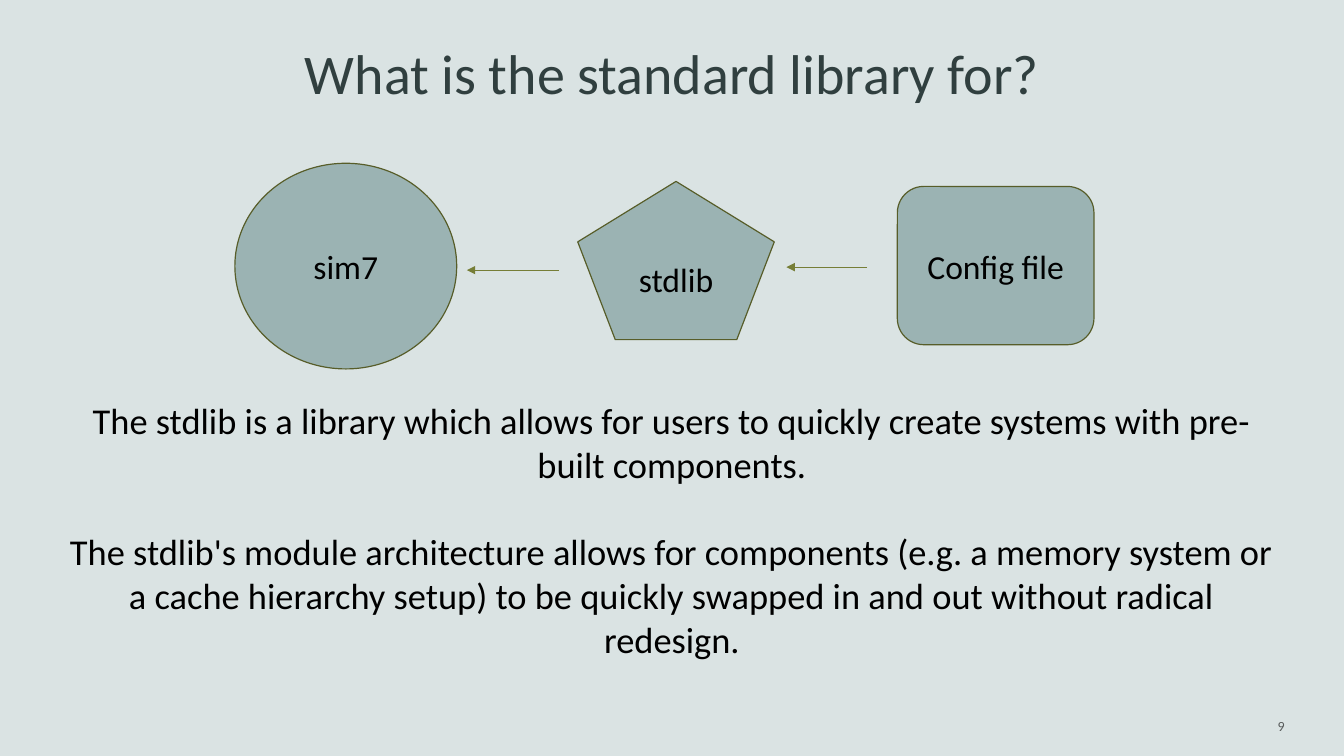
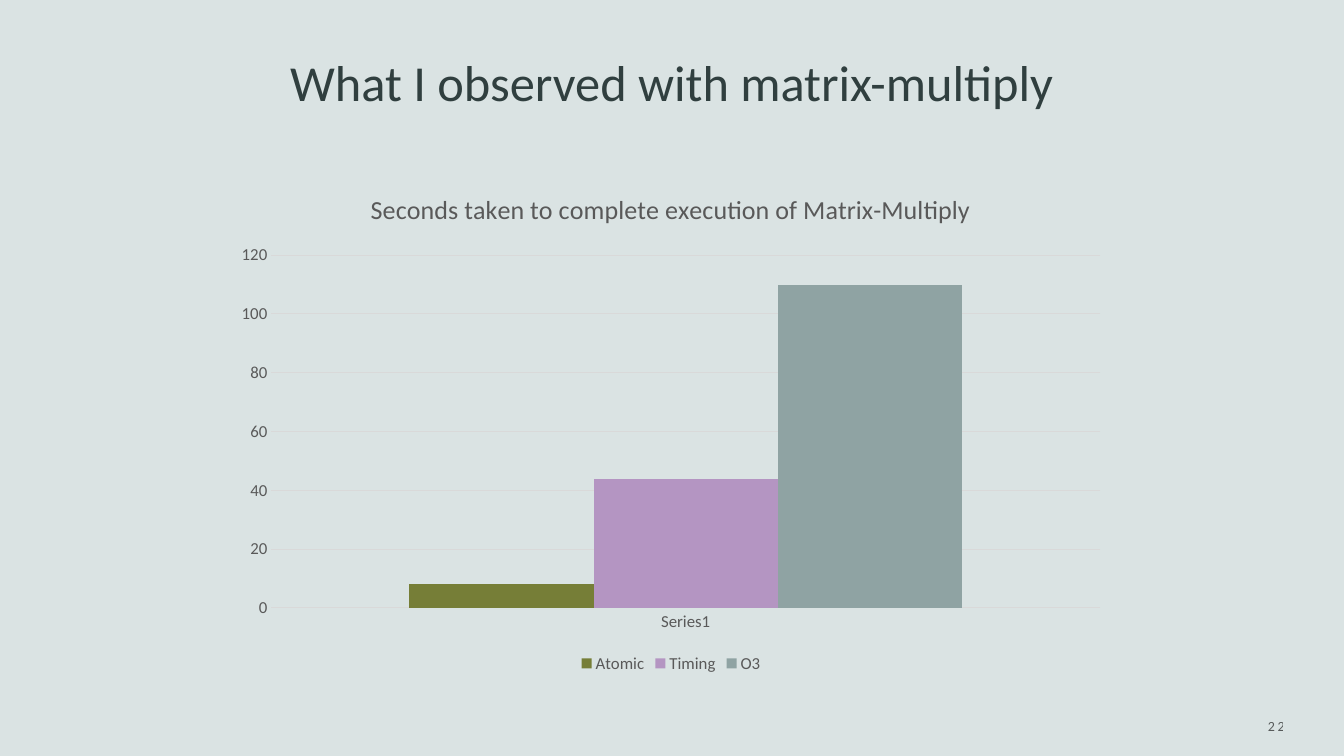
from dataclasses import dataclass

from lxml.etree import SubElement
from pptx import Presentation
from pptx.chart.data import CategoryChartData
from pptx.dml.color import RGBColor
from pptx.enum.chart import XL_CHART_TYPE as ChartType, XL_LEGEND_POSITION as LegendPos
from pptx.enum.chart import XL_TICK_MARK as TickMark
from pptx.enum.shapes import MSO_CONNECTOR as Connector, MSO_SHAPE as Shape
from pptx.enum.text import MSO_ANCHOR as Anchor, PP_ALIGN as Align
from pptx.oxml.ns import qn
from pptx.util import Emu, Pt

PX = 9144  # 100 px to the inch
FONT = "Calibri"
COLORS = {
    "background": "DAE3E3",
    "title": "303F3F",
    "text": "000000",
    "node": "9BB3B3",
    "outline": "575D29",
    "olive": "767E37",
    "lilac": "B495C2",
    "sage": "8FA3A3",
    "chart_text": "595959",
    "grid": "D9D9D9",
}


@dataclass(frozen=True)
class Box:
    x: int
    y: int
    w: int
    h: int

    def emu(self) -> tuple[Emu, ...]:
        return tuple(px(n) for n in (self.x, self.y, self.w, self.h))


@dataclass(frozen=True)
class Node:
    label: str
    shape: Shape
    box: Box


@dataclass(frozen=True)
class Arrow:
    x1: int
    y1: int
    x2: int
    y2: int


@dataclass(frozen=True)
class Bar:
    name: str
    value: int
    color: str


NUMBER_BOX = Box(1092, 695, 192, 50)
BODY_BOX = Box(49, 390, 1235, 273)
CHART_BOX = Box(222, 170, 887, 502)

NODES = [
    Node("sim7", Shape.OVAL, Box(233, 162, 220, 204)),
    Node("stdlib", Shape.REGULAR_PENTAGON, Box(573, 180, 195, 157)),
    Node("Config file", Shape.ROUNDED_RECTANGLE, Box(890, 185, 195, 157)),
]
ARROWS = [Arrow(554, 268, 463, 268), Arrow(860, 265, 780, 265)]
BODY = [
    "The stdlib is a library which allows for users to quickly create systems "
    "with pre-built components.",
    "The stdlib's module architecture allows for components (e.g. a memory system "
    "or a cache hierarchy setup) to be quickly swapped in and out without radical redesign.",
]
BARS = [Bar("Atomic", 8, "olive"), Bar("Timing", 44, "lilac"), Bar("O3", 110, "sage")]


def px(n: int) -> Emu:
    return Emu(n * PX)


def rgb(name: str) -> RGBColor:
    return RGBColor.from_string(COLORS[name])


def style_font(font, size: float, color: str) -> None:
    font.name = FONT
    font.size = Pt(size)
    font.bold = False
    font.color.rgb = rgb(color)


def add_run(p, text: str, size: float, color: str = "text", align=Align.CENTER):
    p.alignment = align
    r = p.add_run()
    r.text = text
    style_font(r.font, size, color)
    return r


def add_text_frame(s, box: Box, anchor=Anchor.TOP):
    tf = s.shapes.add_textbox(*box.emu()).text_frame
    tf.word_wrap = True
    tf.vertical_anchor = anchor
    return tf


def add_base_slide(prs, title: str, title_size: int, title_height: int, number: int):
    """Add a slide with the shared background, title and slide number."""
    s = prs.slides.add_slide(prs.slide_layouts[6])
    s.background.fill.solid()
    s.background.fill.fore_color.rgb = rgb("background")

    tf = add_text_frame(s, Box(108, 43, 1117, title_height), Anchor.BOTTOM)
    tf.margin_top, tf.margin_bottom = 0, px(4)
    add_run(tf.paragraphs[0], title, title_size, "title")

    tf = add_text_frame(s, NUMBER_BOX, Anchor.MIDDLE)
    r = add_run(tf.paragraphs[0], str(number), 10, align=Align.RIGHT)
    rPr = r.font._element
    rPr.set("spc", "200")
    SubElement(rPr.find(".//" + qn("a:srgbClr")), qn("a:alpha"), val="60000")
    return s


def add_node(s, node: Node) -> None:
    sp = s.shapes.add_shape(node.shape, *node.box.emu())
    sp.shadow.inherit = False
    sp.fill.solid()
    sp.fill.fore_color.rgb = rgb("node")
    sp.line.color.rgb = rgb("outline")
    sp.line.width = Pt(0.85)
    tf = sp.text_frame
    tf.vertical_anchor = Anchor.MIDDLE
    add_run(tf.paragraphs[0], node.label, 24)


def add_arrow(s, arrow: Arrow) -> None:
    ends = [px(n) for n in (arrow.x1, arrow.y1, arrow.x2, arrow.y2)]
    line = s.shapes.add_connector(Connector.STRAIGHT, *ends)
    line.line.color.rgb = rgb("olive")
    line.line.width = Pt(0.75)
    SubElement(line.line._get_or_add_ln(), qn("a:tailEnd"), type="triangle")
    SubElement(line._element.spPr, qn("a:effectLst"))


def add_body(s, paragraphs: list[str]) -> None:
    tf = add_text_frame(s, BODY_BOX)
    for i, text in enumerate(paragraphs):
        p = tf.add_paragraph() if i else tf.paragraphs[0]
        if i:
            p.space_before = Pt(31.5)
        add_run(p, text, 26)


def add_bar_chart(s, title: str, category: str, bars: list[Bar]) -> None:
    data = CategoryChartData()
    data.categories = [category]
    for bar in bars:
        data.add_series(bar.name, [bar.value])
    chart = s.shapes.add_chart(ChartType.COLUMN_CLUSTERED, *CHART_BOX.emu(), data).chart
    style_font(chart.font, 10, "text")

    chart.has_title = True
    add_run(chart.chart_title.text_frame.paragraphs[0], title, 18.6, "chart_text")
    chart.chart_title.include_in_layout = False

    chart.has_legend = True
    chart.legend.position = LegendPos.BOTTOM
    chart.legend.include_in_layout = False
    style_font(chart.legend.font, 12, "chart_text")

    for axis in (chart.category_axis, chart.value_axis):
        axis.major_tick_mark = axis.minor_tick_mark = TickMark.NONE
        axis.format.line.fill.background()
        style_font(axis.tick_labels.font, 12, "chart_text")
    grid = chart.value_axis.major_gridlines.format.line
    grid.color.rgb = rgb("grid")
    grid.width = Pt(0.75)

    plot = chart.plots[0]
    plot.vary_by_categories = False
    plot.gap_width = 150
    plot.overlap = 0
    for series, bar in zip(plot.series, bars):
        series.format.fill.solid()
        series.format.fill.fore_color.rgb = rgb(bar.color)


def build_library_slide(prs) -> None:
    s = add_base_slide(prs, "What is the standard library for?", 40, 66, 9)
    for node in NODES:
        add_node(s, node)
    for arrow in ARROWS:
        add_arrow(s, arrow)
    add_body(s, BODY)


def build_results_slide(prs) -> None:
    s = add_base_slide(prs, "What I observed with matrix-multiply", 36, 72, 22)
    add_bar_chart(s, "Seconds taken to complete execution of Matrix-Multiply", "Series1", BARS)


def main() -> None:
    prs = Presentation()
    prs.slide_width, prs.slide_height = px(1333), px(750)
    build_library_slide(prs)
    build_results_slide(prs)
    prs.save("out.pptx")


if __name__ == "__main__":
    main()
